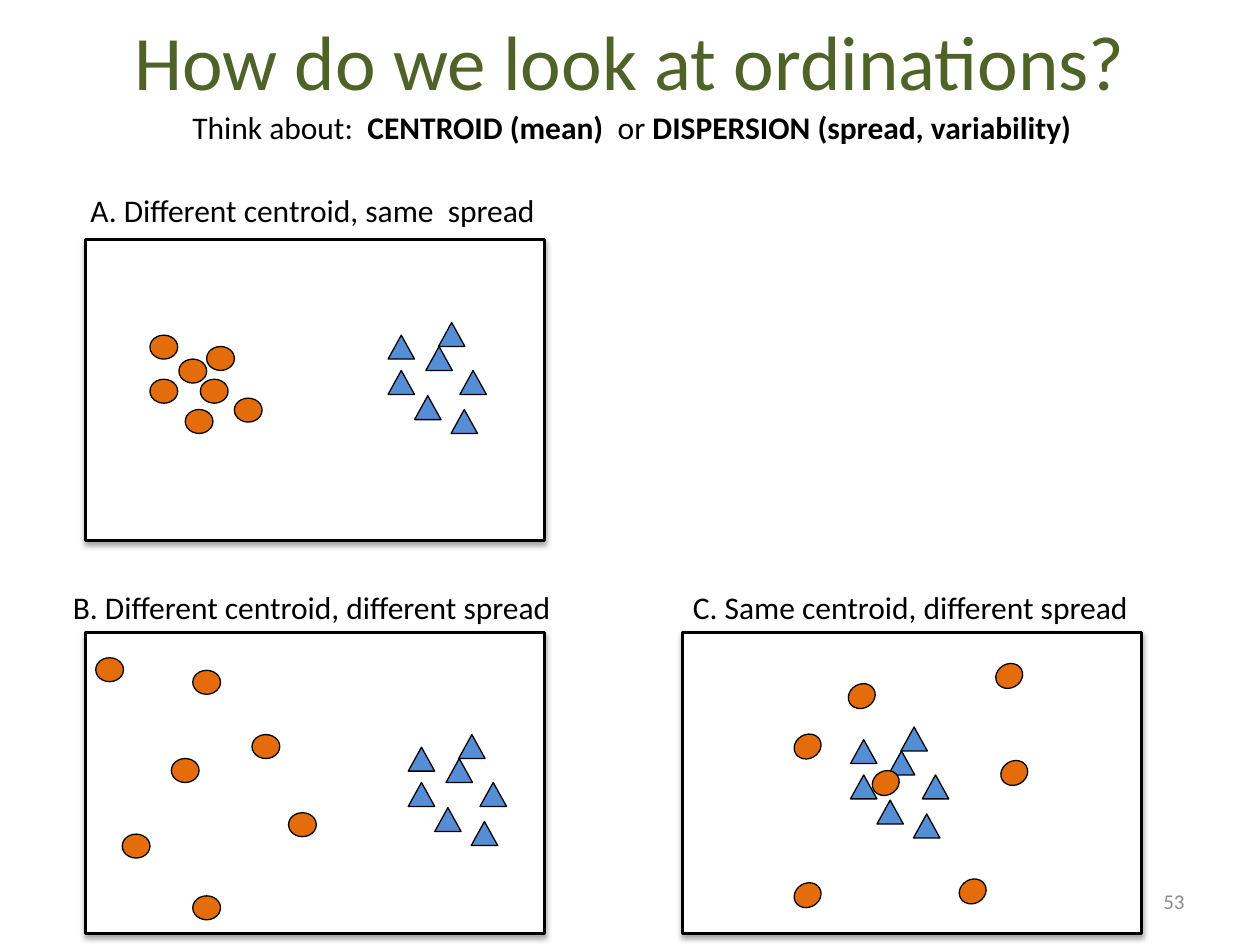
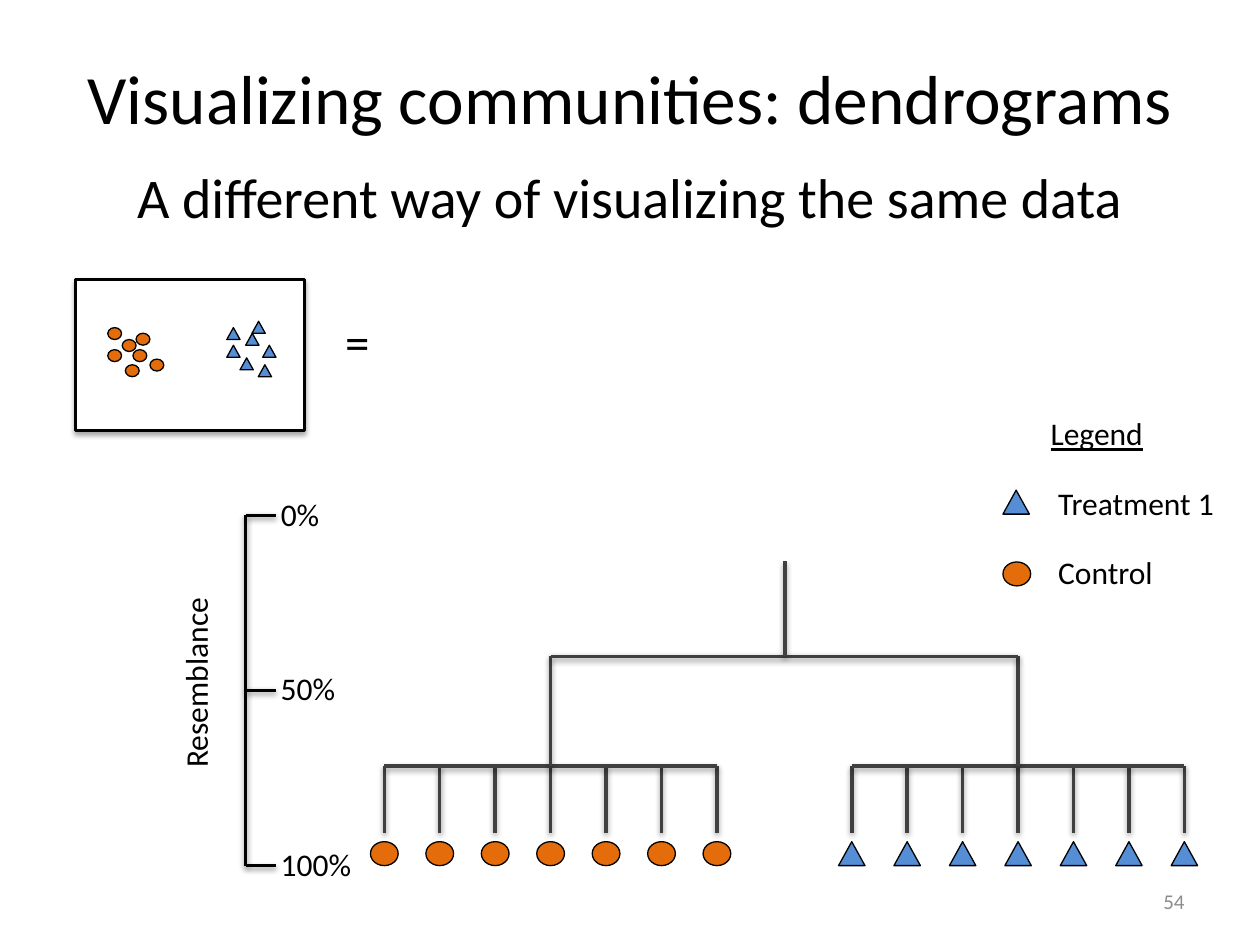
import pptx
import pptx.util
import pptx.dml.color
import pptx.enum.shapes
import pptx.enum.text
import pptx.oxml.ns
import lxml.etree

Inches = pptx.util.Inches
Pt = pptx.util.Pt
hue = pptx.dml.color.RGBColor.from_string
kinds = pptx.enum.shapes.MSO_SHAPE
align = pptx.enum.text.PP_ALIGN
anchor = pptx.enum.text.MSO_ANCHOR
qn = pptx.oxml.ns.qn

FONT = "Calibri"
BLACK, WHITE, GREEN, GRAY, DARK = "000000", "FFFFFF", "4F6228", "8C8C8C", "404040"
DOT = (kinds.OVAL, 0.22, 0.19, "E46C0A")
TRI = (kinds.ISOSCELES_TRIANGLE, 0.21, 0.19, "558ED5")
FRAME = (kinds.RECTANGLE, 3.64, 2.39, WHITE)


def draw(slide, mark, x, y, scale=1, width=0.75, turn=0):
    kind, w, h, fill = mark
    shape = slide.shapes.add_shape(
        kind, Inches(x), Inches(y), Inches(w * scale), Inches(h * scale))
    shape.shadow.inherit = False
    shape.fill.solid()
    shape.fill.fore_color.rgb = hue(fill)
    shape.line.color.rgb = hue(BLACK)
    shape.line.width = Pt(width)
    shape.rotation = turn
    return shape


def write(box, parts, place, size=18, color=BLACK, side=align.LEFT, wrap=False):
    """Fill a box with (text, bold) parts and move it to its place."""
    box.left, box.top, box.width, box.height = [Inches(n) for n in place]
    frame = box.text_frame
    frame.auto_size = pptx.enum.text.MSO_AUTO_SIZE.NONE
    frame.word_wrap = wrap
    para = frame.paragraphs[0]
    para.alignment = side
    for text, bold in parts:
        run = para.add_run()
        run.text = text
        run.font.name = FONT
        run.font.size = Pt(size)
        run.font.bold = bold
        run.font.color.rgb = hue(color)
    return box


deck = pptx.Presentation()
deck.slide_width, deck.slide_height = Inches(10), Inches(7.5)

# Titles and page numbers
slides = []
for title, place, size, color, page in [
    ("How do we look at ordinations?", (0, -0.15, 10, 1.25), 44, GREEN, "53"),
    ("Visualizing communities: dendrograms", (0.5, 0.14, 9, 1.25), 39.6, BLACK, "54"),
]:
    slide = deck.slides.add_slide(deck.slide_layouts[5])
    head = write(slide.shapes.title, [(title, False)], place, size, color,
                 align.CENTER, True)
    head.text_frame.vertical_anchor = anchor.MIDDLE
    foot = write(slide.shapes.add_textbox(0, 0, 0, 0), [(page, False)],
                 (7.17, 6.95, 2.33, 0.4), 12, GRAY, align.RIGHT, True)
    foot.text_frame.vertical_anchor = anchor.MIDDLE
    slides.append(slide)
first, second = slides

# Subtitles
write(first.shapes.add_textbox(0, 0, 0, 0),
      [("Think about:  ", False), ("CENTROID (mean)  ", True), ("or ", False),
       ("DISPERSION (spread, variability)", True)],
      (0.67, 0.81, 8.69, 0.4), side=align.CENTER, wrap=True)
write(second.shapes.add_textbox(0, 0, 0, 0),
      [("A different way of visualizing the same data", False)],
      (0.5, 1.24, 9, 0.73), 32, side=align.CENTER, wrap=True)

# Ordination panels: dots and triangle cluster measured from the frame corner
cluster = [(0.4, 0), (0, 0.1), (0.3, 0.19), (0, 0.38), (0.57, 0.38),
           (0.21, 0.58), (0.5, 0.69)]
tight = [(0.74, 0.95), (0.91, 1.11), (0.96, 0.85), (0.79, 1.35), (1.18, 1.26),
         (0.51, 0.76), (0.51, 1.11)]
wide = [(0.68, 1), (1.32, 0.81), (0.85, 0.3), (0.85, 2.09), (1.61, 1.43),
        (0.08, 0.2), (0.29, 1.6)]
around = [(1.5, 1.1), (2.48, 0.25), (1.31, 0.41), (2.19, 1.96), (2.52, 1.02),
          (0.88, 0.81), (0.88, 1.99)]
casts = []
for slide, left, top, scale, dots, start, turn in [
    (first, 0.68, 1.9, 1, tight, (2.4, 0.66), 0),
    (first, 0.68, 5.02, 1, wide, (2.56, 0.81), 0),
    (first, 5.42, 5.02, 1, around, (1.33, 0.75), 330.4),
    (second, 0.6, 2.22, 0.5, tight, (2.4, 0.66), 0),
]:
    panel = draw(slide, FRAME, left, top, scale, 1.75)
    casts.append((panel, 23000, 35000))
    for x, y in cluster:
        draw(slide, TRI, left + (start[0] + x) * scale,
             top + (start[1] + y) * scale, scale)
    for x, y in dots:
        draw(slide, DOT, left + x * scale, top + y * scale, scale, turn=turn)

# Dendrogram and scale lines
step, low, mid, high = 0.44, 6.61, 6.08, 5.21
lines = []
for start, mark in [(3.05, DOT), (6.76, TRI)]:
    for i in range(7):
        x = start + i * step
        lines.append((DARK, x, low, x, mid))
        draw(second, mark, x - mark[1] / 2, 6.68)
    center = start + 3 * step
    lines += [(DARK, start, mid, start + 6 * step, mid),
              (DARK, center, mid, center, high)]
lines += [(DARK, 4.37, high, 8.08, high), (DARK, 6.23, high, 6.23, 4.45),
          (BLACK, 1.95, 6.87, 1.95, 4.09)]
lines += [(BLACK, 1.95, y, 2.19, y) for y in (4.09, 5.48, 6.87)]
for color, *ends in lines:
    line = second.shapes.add_connector(
        pptx.enum.shapes.MSO_CONNECTOR.STRAIGHT, *[Inches(n) for n in ends])
    line.line.color.rgb = hue(color)
    line.line.width = Pt(2)
    casts.append((line, 20000, 38000))

# Soft shadows under frames and lines
for item, dist, alpha in casts:
    props = item._element.spPr
    effect = props.find(qn("a:effectLst"))
    if effect is None:
        effect = lxml.etree.SubElement(props, qn("a:effectLst"))
    shade = lxml.etree.SubElement(
        effect, qn("a:outerShdw"), blurRad="40000", dist=str(dist),
        dir="5400000", rotWithShape="0")
    tone = lxml.etree.SubElement(shade, qn("a:srgbClr"), val=BLACK)
    lxml.etree.SubElement(tone, qn("a:alpha"), val=str(alpha))

# Legend marks
draw(second, TRI, 7.96, 3.89)
draw(second, DOT, 7.96, 4.46)

# Captions and labels
for slide, text, x, y, w in [
    (first, "A. Different centroid, same  spread", 0.62, 1.47, 3.76),
    (first, "B. Different centroid, different spread", 0.48, 4.62, 4.03),
    (first, "C. Same centroid, different spread", 5.4, 4.62, 3.69),
    (second, "Treatment 1", 8.3, 3.79, 1.45),
    (second, "Control", 8.3, 4.34, 0.96),
    (second, "0%", 2.13, 3.88, 0.51),
    (second, "50%", 2.13, 5.26, 0.64),
    (second, "100%", 2.13, 6.66, 0.77),
]:
    write(slide.shapes.add_textbox(0, 0, 0, 0), [(text, False)], (x, y, w, 0.4))
key = write(second.shapes.add_textbox(0, 0, 0, 0), [("Legend", False)],
            (8.24, 3.24, 0.94, 0.4))
key.text_frame.paragraphs[0].runs[0].font.underline = True
axis = write(second.shapes.add_textbox(0, 0, 0, 0), [("Resemblance", False)],
             (0.77, 5.21, 1.56, 0.4))
axis.rotation = 270
write(second.shapes.add_textbox(0, 0, 0, 0), [("=", False)],
      (2.64, 2.42, 0.4, 0.57), 28)

deck.save("out.pptx")
